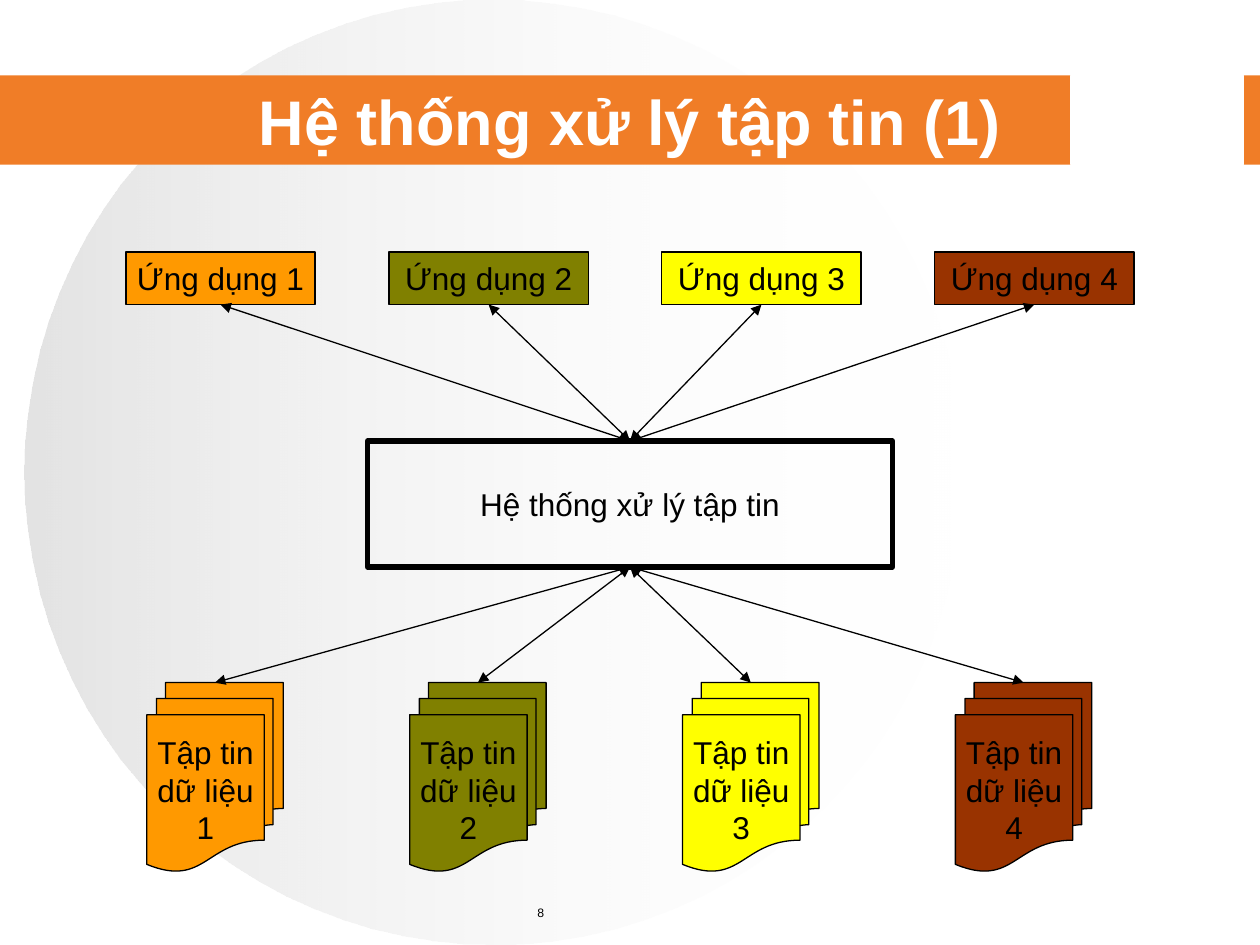
from dataclasses import dataclass

from lxml import etree
from pptx import Presentation
from pptx.dml.color import RGBColor
from pptx.enum.shapes import MSO_CONNECTOR, MSO_SHAPE
from pptx.enum.text import MSO_ANCHOR, PP_ALIGN
from pptx.oxml.ns import qn
from pptx.util import Cm, Pt

RECT = MSO_SHAPE.RECTANGLE
OVAL = MSO_SHAPE.OVAL
FILES = MSO_SHAPE.FLOWCHART_MULTIDOCUMENT
STRAIGHT = MSO_CONNECTOR.STRAIGHT
CENTER = PP_ALIGN.CENTER
MIDDLE = MSO_ANCHOR.MIDDLE


@dataclass(frozen=True)
class Theme:
    font: str = "Arial"
    ink: str = "000000"
    paper: str = "FFFFFF"
    band: str = "F07D27"
    disc: str = "C0C0C0"
    columns: tuple = ("FF9900", "808000", "FFFF00", "993300")
    title_size: int = 36
    body_size: int = 18
    number_size: int = 7
    thin: float = 0.75
    thick: float = 3


THEME = Theme()


def rgb(value):
    return RGBColor.from_string(value)


def write(tf, lines, size, color, bold=False):
    for i, line in enumerate(lines):
        p = tf.paragraphs[0] if i == 0 else tf.add_paragraph()
        p.alignment = CENTER
        r = p.add_run()
        r.text = line
        r.font.name = THEME.font
        r.font.size = Pt(size)
        r.font.bold = bold
        r.font.color.rgb = rgb(color)


def add_box(slide, kind, box, fill=None, line=None, width=THEME.thin, lines=()):
    sp = slide.shapes.add_shape(kind, *(Cm(v) for v in box))
    sp.shadow.inherit = False
    if fill:
        sp.fill.solid()
        sp.fill.fore_color.rgb = rgb(fill)
    else:
        sp.fill.background()
    if line:
        sp.line.color.rgb = rgb(line)
        sp.line.width = Pt(width)
    else:
        sp.line.fill.background()
    tf = sp.text_frame
    tf.word_wrap = False
    tf.vertical_anchor = MIDDLE
    write(tf, lines, THEME.body_size, THEME.ink)
    return sp


def add_arrow(slide, start, end):
    line = slide.shapes.add_connector(STRAIGHT, *(Cm(v) for v in (*start, *end)))
    line.line.color.rgb = rgb(THEME.ink)
    line.line.width = Pt(THEME.thin)
    ln = line.line._get_or_add_ln()
    for tag in ("a:headEnd", "a:tailEnd"):
        etree.SubElement(ln, qn(tag), type="triangle")
    etree.SubElement(ln.getparent(), qn("a:effectLst"))


def add_backdrop(slide, box):
    disc = add_box(slide, OVAL, box)
    disc.fill.gradient()
    disc.fill.gradient_angle = 0
    stops = disc.fill.gradient_stops
    for stop, color, alpha in zip(stops, (THEME.disc, THEME.paper), (44000, 0)):
        stop.color.rgb = rgb(color)
    for node, alpha in zip(disc.element.iter(qn("a:srgbClr")), (44000, 0)):
        etree.SubElement(node, qn("a:alpha"), val=str(alpha))


def add_header(slide, box, text):
    x, y, w, h = box
    add_box(slide, RECT, box, THEME.band)
    add_box(slide, RECT, (x + 21.59, y, 3.48, h), THEME.paper, THEME.paper)
    title = slide.shapes.title
    title.left, title.top = Cm(x + 0.64), Cm(y + 0.03)
    title.width, title.height = Cm(w - 1.28), Cm(h - 0.03)
    title.text_frame.vertical_anchor = MIDDLE
    write(title.text_frame, [text], THEME.title_size, THEME.paper, True)
    title.element.getparent().append(title.element)


def add_column(slide, box, number, color, hub):
    x, y, w, h = box
    app_h, file_w, file_h = 1.06, 2.75, 3.81
    file_x, file_y = x + 0.42, y + h - file_h
    hub_x, hub_y, hub_w, hub_h = hub
    middle = hub_x + hub_w / 2
    add_box(slide, RECT, (x, y, w, app_h), color, THEME.ink,
            lines=[f"Ứng dụng {number}"])
    add_box(slide, FILES, (file_x, file_y, file_w, file_h), color, THEME.ink,
            lines=["Tập tin", "dữ liệu", str(number)])
    add_arrow(slide, (x + w / 2, y + app_h), (middle, hub_y))
    add_arrow(slide, (middle, hub_y + hub_h), (file_x + file_w / 2, file_y))


def add_diagram(slide, box):
    x, y, w, h = box
    hub = (x + 4.87, y + 3.81, 10.58, 2.54)
    add_box(slide, RECT, hub, line=THEME.ink, width=THEME.thick,
            lines=["Hệ thống xử lý tập tin"])
    pitch, app_w = 5.5, 4.02
    for i, color in enumerate(THEME.columns):
        left = x + w - app_w - (3 - i) * pitch if i else x
        width = app_w if i else 3.81
        add_column(slide, (left, y, width, h), i + 1, color, hub)


def add_number(slide, box, text):
    tf = slide.shapes.add_textbox(*(Cm(v) for v in box)).text_frame
    tf.word_wrap = True
    write(tf, [text], THEME.number_size, THEME.ink)
    tf.paragraphs[0].line_spacing = 0.87


def main():
    prs = Presentation()
    prs.slide_width, prs.slide_height = Cm(25.4), Cm(19.05)
    slide = prs.slides.add_slide(prs.slide_layouts[5])
    add_backdrop(slide, (0.5, 0, 18.9, 19.05))
    add_header(slide, (0, 1.52, 25.4, 1.8), "Hệ thống xử lý tập tin (1)")
    add_diagram(slide, (2.54, 5.08, 20.32, 12.49))
    add_number(slide, (9.73, 18.16, 2.34, 0.74), "8")
    prs.save("out.pptx")


if __name__ == "__main__":
    main()
